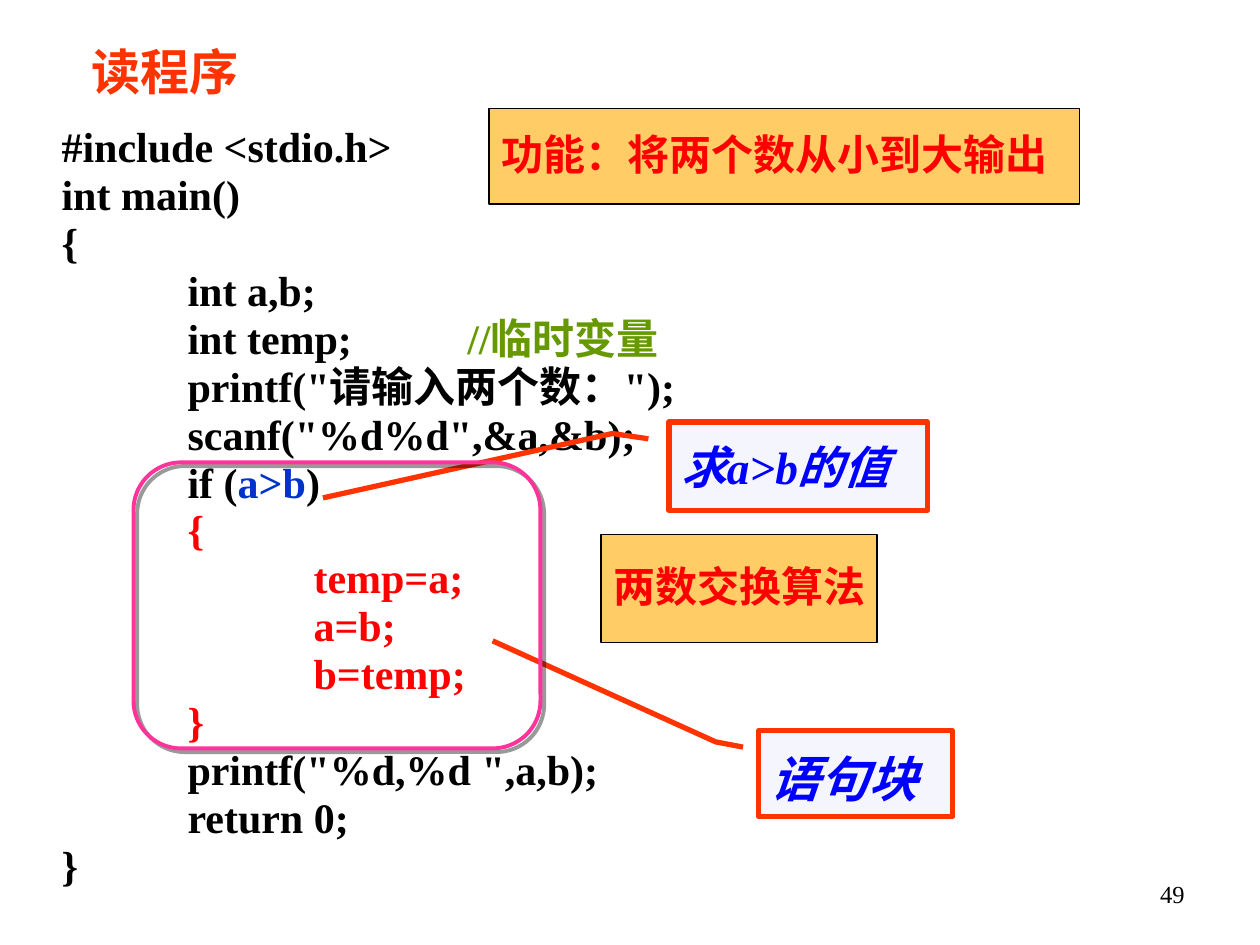
from lxml.etree import SubElement
from pptx import Presentation
from pptx.dml.color import RGBColor
from pptx.enum.shapes import MSO_SHAPE
from pptx.enum.text import MSO_ANCHOR, MSO_AUTO_SIZE, PP_ALIGN
from pptx.oxml.ns import qn
from pptx.util import Inches, Pt

BLACK = RGBColor(0x00, 0x00, 0x00)
RED = RGBColor(0xFF, 0x00, 0x00)
ORANGE_RED = RGBColor(0xFF, 0x33, 0x00)
GREEN = RGBColor(0x66, 0x99, 0x00)
BLUE = RGBColor(0x00, 0x33, 0xCC)
BRIGHT_BLUE = RGBColor(0x00, 0x00, 0xFF)
AMBER = RGBColor(0xFF, 0xCC, 0x66)
PALE_BLUE = RGBColor(0xF5, 0xF6, 0xFD)
PINK = RGBColor(0xFF, 0x33, 0x99)

FONT = "Times New Roman"
CODE_TABS = (1, 2, 3.22)
CODE = [
    [("#include <stdio.h>", BLACK)],
    [("int main()", BLACK)],
    [("{", BLACK)],
    [("\tint a,b;", BLACK)],
    [("\tint temp;\t", BLACK), ("//临时变量", GREEN)],
    [("\tprintf(\"请输入两个数：\");", BLACK)],
    [("\tscanf(\"%d%d\",&a,&b);", BLACK)],
    [("\tif (", BLACK), ("a>b", BLUE), (")", BLACK)],
    [("\t{", RED)],
    [("\t\ttemp=a;", RED)],
    [("\t\ta=b;", RED)],
    [("\t\tb=temp;", RED)],
    [("\t}", RED)],
    [("\tprintf(\"%d,%d \",a,b);", BLACK)],
    [("\treturn 0;", BLACK)],
    [("}", BLACK)],
]
NOTES = [
    ("两数交换算法", (4.77, 4.24, 2.19, 0.86)),
    ("功能：将两个数从小到大输出", (3.88, 0.86, 4.69, 0.76)),
]
CALLOUTS = [
    ("求a>b的值", 25.9, (5.31, 3.35, 2.05, 0.7), (0.86, -1.34)),
    ("语句块", 28, (6.02, 5.8, 1.54, 0.68), (-1.05, -1.37)),
]


def set_attrs(obj, values):
    """Set each named attribute of an object."""
    for name, value in values.items():
        setattr(obj, name, value)


def write_line(p, runs, size, spacing=0.95, bold=True, italic=False):
    """Fill a paragraph with coloured runs."""
    set_attrs(p, {"alignment": PP_ALIGN.LEFT, "line_spacing": spacing, "space_before": Pt(0)})
    for text, color in runs:
        r = p.add_run()
        r.text = text
        set_attrs(r.font, {"name": FONT, "size": Pt(size), "bold": bold, "italic": italic})
        r.font.color.rgb = color


def add_tabs(p, stops):
    """Add left tab stops, in inches, to a paragraph."""
    tabs = SubElement(p._p.get_or_add_pPr(), qn("a:tabLst"))
    for stop in stops:
        SubElement(tabs, qn("a:tab"), pos=str(Inches(stop)), algn="l")


def place_title(s, text, box):
    """Move the title placeholder and write its text."""
    sp = s.shapes.title
    set_attrs(sp, dict(zip(("left", "top", "width", "height"), map(Inches, box))))
    tf = sp.text_frame
    set_attrs(tf, {"vertical_anchor": MSO_ANCHOR.TOP, "auto_size": MSO_AUTO_SIZE.NONE})
    write_line(tf.paragraphs[0], [(text, ORANGE_RED)], 28)


def add_code(s, lines, box):
    """Add the program listing with the same tab stops on every line."""
    tf = s.shapes.add_textbox(*map(Inches, box)).text_frame
    tf.word_wrap = True
    for i, runs in enumerate(lines):
        p = tf.add_paragraph() if i else tf.paragraphs[0]
        write_line(p, runs, 24)
        add_tabs(p, CODE_TABS)


def add_page_number(s, text, box):
    """Add the right-aligned page number."""
    tf = s.shapes.add_textbox(*map(Inches, box)).text_frame
    tf.word_wrap = True
    p = tf.paragraphs[0]
    write_line(p, [(text, BLACK)], 14, spacing=1.0, bold=False)
    p.alignment = PP_ALIGN.RIGHT


def add_outlined(s, kind, box, fill, line, weight):
    """Add a preset shape with an outline and an optional fill."""
    sp = s.shapes.add_shape(kind, *map(Inches, box))
    sp.shadow.inherit = False
    if fill is None:
        sp.fill.background()
    else:
        sp.fill.solid()
        sp.fill.fore_color.rgb = fill
    sp.line.color.rgb = line
    sp.line.width = Pt(weight)
    return sp


def add_note(s, text, box):
    """Add an amber note."""
    tf = add_outlined(s, MSO_SHAPE.RECTANGLE, box, AMBER, BLACK, 0.75).text_frame
    set_attrs(tf, {"word_wrap": False, "vertical_anchor": MSO_ANCHOR.MIDDLE})
    write_line(tf.paragraphs[0], [(text, RED)], 24)


def add_callout(s, text, size, box, target):
    """Add a callout whose bent leader ends at the target."""
    sp = add_outlined(s, MSO_SHAPE.LINE_CALLOUT_2, box, PALE_BLUE, ORANGE_RED, 3)
    for i, value in enumerate((0.19, -0.08, 0.13, -0.22, *target)):
        sp.adjustments[i] = value
    tf = sp.text_frame
    set_attrs(tf, {"word_wrap": True, "vertical_anchor": MSO_ANCHOR.TOP})
    write_line(tf.paragraphs[0], [(text, BRIGHT_BLUE)], size, spacing=1.2, italic=True)


def add_block_frame(s, box):
    """Frame the statement block with a shadowed rounded outline."""
    sp = add_outlined(s, MSO_SHAPE.ROUNDED_RECTANGLE, box, None, PINK, 2.25)
    effects = sp._element.spPr.find(qn("a:effectLst"))
    shadow = SubElement(effects, qn("a:outerShdw"), blurRad="0", dist=str(Pt(3)),
                        dir=str(45 * 60000), algn="ctr", rotWithShape="0")
    color = SubElement(shadow, qn("a:srgbClr"), val=str(BLACK))
    SubElement(color, qn("a:alpha"), val="40000")


def main():
    """Build the slide and save it."""
    prs = Presentation()
    set_attrs(prs, {"slide_width": Inches(10), "slide_height": Inches(7.5)})
    s = prs.slides.add_slide(prs.slide_layouts[5])
    add_page_number(s, "49", (7.17, 6.93, 2.33, 0.52))
    add_code(s, CODE, (0.39, 0.94, 8.59, 6.18))
    place_title(s, "读程序", (0.63, 0.31, 3.25, 0.55))
    for note in NOTES:
        add_note(s, *note)
    for callout in CALLOUTS:
        add_callout(s, *callout)
    add_block_frame(s, (1.06, 3.67, 3.23, 2.27))
    prs.save("out.pptx")


if __name__ == "__main__":
    main()
